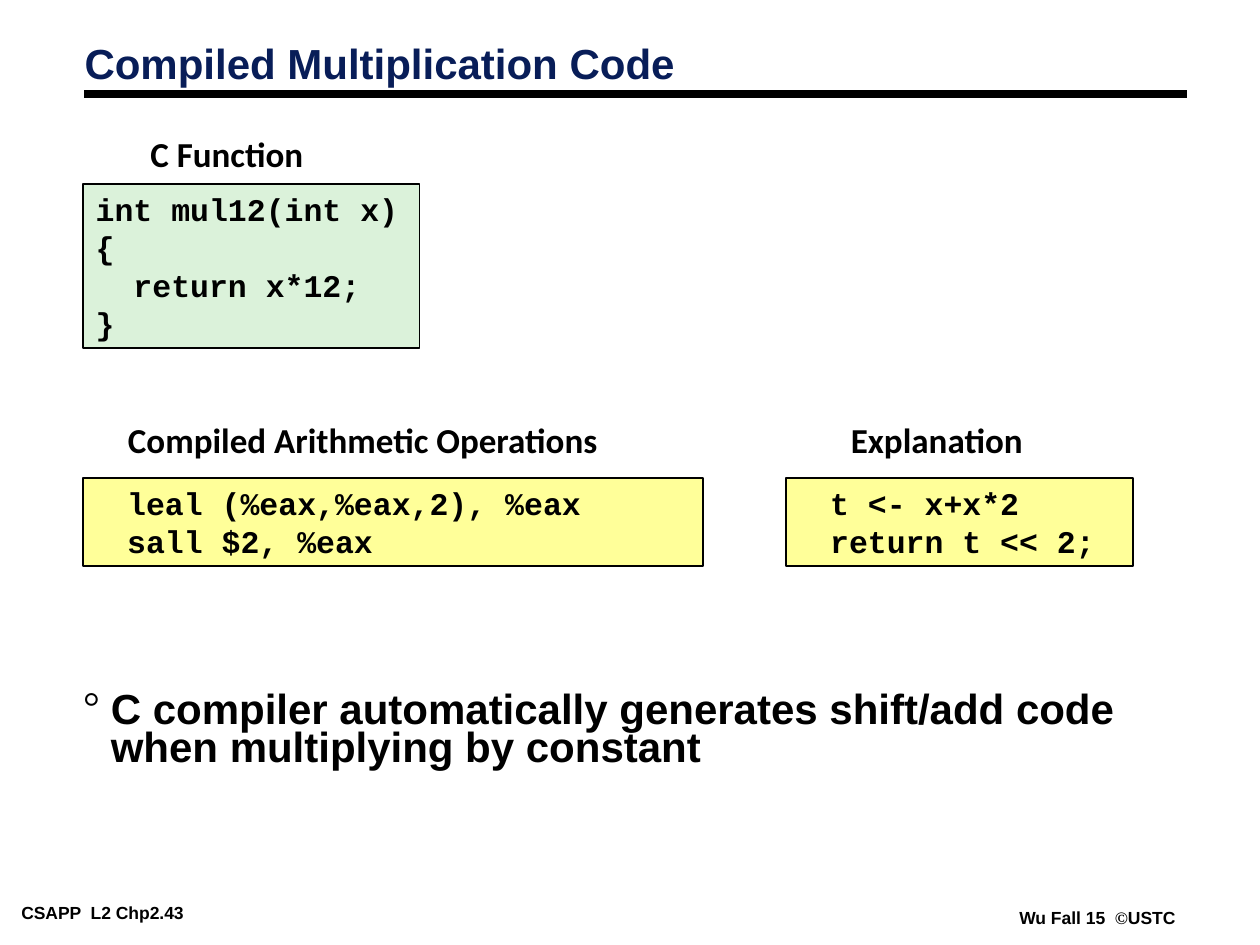
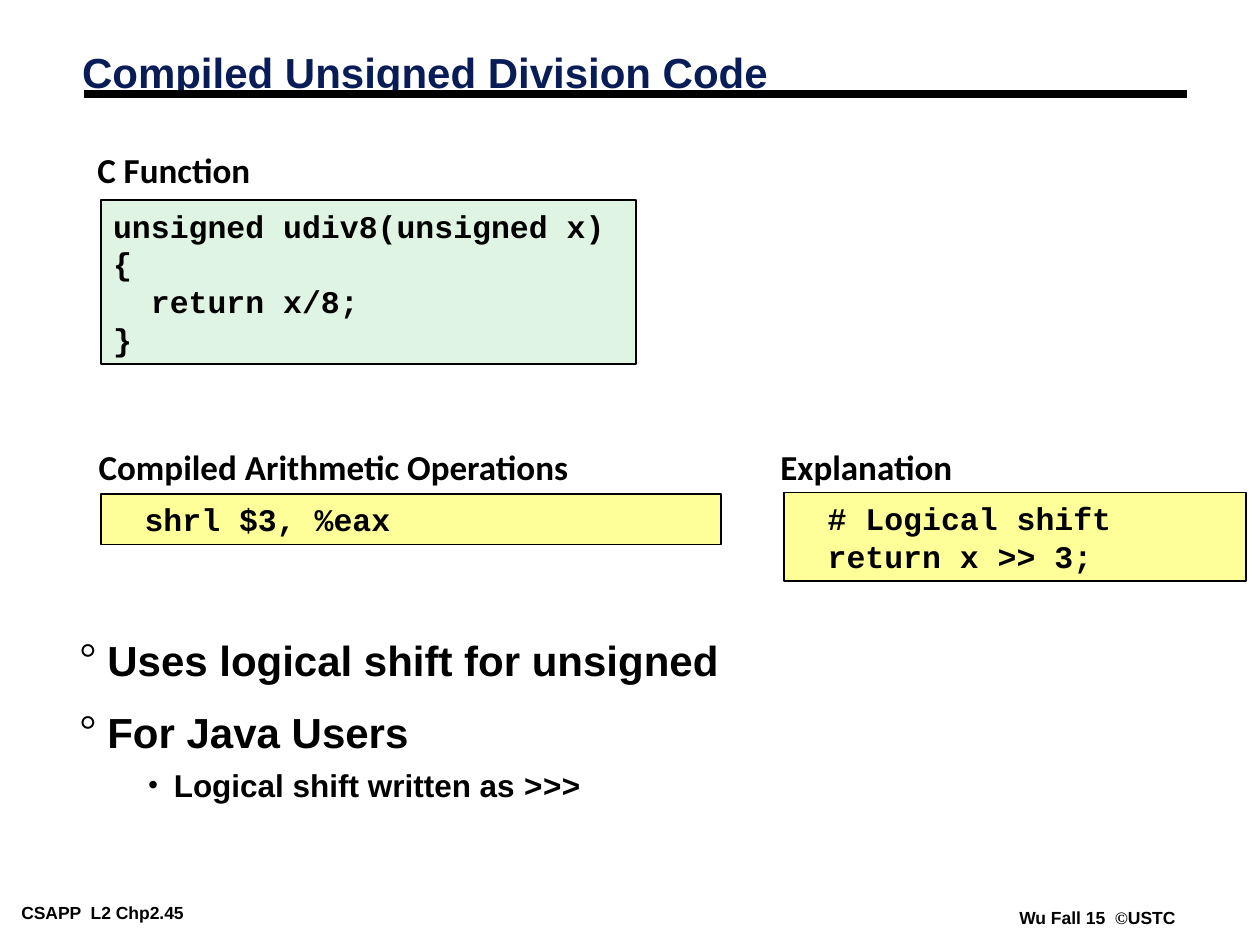
from lxml.etree import SubElement
from pptx import Presentation
from pptx.dml.color import RGBColor
from pptx.enum.shapes import MSO_CONNECTOR, MSO_SHAPE
from pptx.enum.text import MSO_ANCHOR, MSO_AUTO_SIZE, PP_ALIGN
from pptx.oxml.ns import qn
from pptx.util import Cm, Pt

# Shared style
NAVY = RGBColor(0x08, 0x1D, 0x58)
BLACK = RGBColor(0x00, 0x00, 0x00)
YELLOW = RGBColor(0xFF, 0xFF, 0x99)
MINT = RGBColor(0xDB, 0xF2, 0xDA)
PALE_MINT = RGBColor(0xE0, 0xF4, 0xE3)
SANS, LABEL, CODE, SERIF = "Arial", "Calibri", "Courier New", "Times New Roman"
INCH = 2.54
CODE_TABS = (0.25 * INCH, INCH, 2 * INCH, 3 * INCH)

# Per list level: bullet, left margin, hanging indent, size, line spacing, space before
LIST_LEVELS = (
    ("°", 0.56, 0.56, 24, 0.75, 19.5),
    ("•", 1.9, 0.53, 18, 0.85, 9),
)


class Deck:
    """Holds the presentation style and the slide being filled."""

    def __init__(self):
        self.presentation = Presentation()
        self.presentation.slide_width = Cm(25.4)
        self.presentation.slide_height = Cm(19.05)
        self.slide = None

    @staticmethod
    def place(shape, left, top, width, height):
        shape.left, shape.top = Cm(left), Cm(top)
        shape.width, shape.height = Cm(width), Cm(height)

    @staticmethod
    def style(paragraph, font, size, color=BLACK):
        for run in paragraph.runs:
            run.font.name = font
            run.font.size = Pt(size)
            run.font.bold = True
            run.font.color.rgb = color

    @staticmethod
    def set_bullet(paragraph, symbol, margin, hanging):
        properties = paragraph._p.get_or_add_pPr()
        properties.set("marL", str(Cm(margin)))
        properties.set("indent", str(-Cm(hanging)))
        color = SubElement(properties, qn("a:buClr"))
        SubElement(color, qn("a:srgbClr"), val=str(BLACK))
        SubElement(properties, qn("a:buFont"), typeface=SERIF)
        SubElement(properties, qn("a:buChar"), char=symbol)

    @staticmethod
    def set_tabs(paragraph, stops):
        tabs = SubElement(paragraph._p.get_or_add_pPr(), qn("a:tabLst"))
        for stop in stops:
            SubElement(tabs, qn("a:tab"), pos=str(Cm(stop)), algn="l")

    def new_slide(self, title, title_box, page):
        layout = self.presentation.slide_layouts[1]
        self.slide = self.presentation.slides.add_slide(layout)
        self.title(title, *title_box)
        self.rule()
        self.footer(page)

    def title(self, text, left, top, width):
        heading = self.slide.shapes.title
        self.place(heading, left, top, width, 1.6)
        frame = heading.text_frame
        frame.text = text
        frame.auto_size = MSO_AUTO_SIZE.NONE
        frame.vertical_anchor = MSO_ANCHOR.MIDDLE
        paragraph = frame.paragraphs[0]
        paragraph.alignment = PP_ALIGN.LEFT
        paragraph.line_spacing = 0.87
        self.style(paragraph, SANS, 24, NAVY)

    def rule(self):
        line = self.slide.shapes.add_connector(
            MSO_CONNECTOR.STRAIGHT, Cm(1.7), Cm(1.9), Cm(23.93), Cm(1.9))
        line.line.color.rgb = BLACK
        line.line.width = Pt(4.5)
        SubElement(line._element.spPr, qn("a:effectLst"))

    def text_box(self, box, inset_x, inset_y, wrap):
        frame = self.slide.shapes.add_textbox(*map(Cm, box)).text_frame
        frame.margin_left = frame.margin_right = Cm(inset_x)
        frame.margin_top = frame.margin_bottom = Cm(inset_y)
        frame.word_wrap = wrap
        return frame.paragraphs[0]

    def footer(self, page):
        course = self.text_box((0.25, 18.11, 4.95, 0.56), 0.18, 0.08, True)
        course.text = f"CSAPP  L2 Chp2.{page}"
        self.style(course, SANS, 10)
        author = self.text_box((20.37, 18.21, 3.8, 0.56), 0.18, 0.08, True)
        for text in ("Wu Fall 15  ", "©", "USTC"):
            author.add_run().text = text
        self.style(author, SANS, 10)
        author.runs[1].font.name = SERIF

    def label(self, text, left, top, width):
        caption = self.text_box((left, top, width, 1.12), 0.13, 0.13, False)
        caption.text = text
        caption.alignment = PP_ALIGN.CENTER
        self.style(caption, LABEL, 20)

    def code(self, lines, fill, left, top, width, height):
        panel = self.slide.shapes.add_shape(
            MSO_SHAPE.RECTANGLE, Cm(left), Cm(top), Cm(width), Cm(height))
        panel.shadow.inherit = False
        panel.fill.solid()
        panel.fill.fore_color.rgb = fill
        panel.line.color.rgb = BLACK
        panel.line.width = Pt(1)
        frame = panel.text_frame
        frame.text = "\n".join(lines)
        frame.word_wrap = True
        frame.vertical_anchor = MSO_ANCHOR.TOP
        for paragraph in frame.paragraphs:
            self.set_tabs(paragraph, CODE_TABS)
            paragraph.alignment = PP_ALIGN.LEFT
            paragraph.line_spacing = Pt(21.6)
            self.style(paragraph, CODE, 18)

    def bullets(self, items, left, top):
        """Fill the body; each item is a level and its runs, the last in code font if two."""
        body = self.slide.placeholders[1]
        self.place(body, left, top, 23.09, 3.3)
        frame = body.text_frame
        frame.auto_size = MSO_AUTO_SIZE.NONE
        for index, (level, *texts) in enumerate(items):
            paragraph = frame.add_paragraph() if index else frame.paragraphs[0]
            symbol, margin, hanging, size, spacing, before = LIST_LEVELS[level]
            paragraph.level = level
            self.set_bullet(paragraph, symbol, margin, hanging)
            paragraph.line_spacing = spacing
            paragraph.space_before = Pt(before if index else 0)
            for text in texts:
                paragraph.add_run().text = text
            self.style(paragraph, SANS, size)
            if len(texts) > 1:
                paragraph.runs[-1].font.name = CODE


def multiplication(deck):
    deck.new_slide("Compiled Multiplication Code", (1.45, 0.53, 19.91), 43)

    # Source function
    deck.label("C Function", 2.9, 2.54, 3.35)
    deck.code(("int mul12(int x)", "{", "  return x*12;", "}"),
              MINT, 1.68, 3.71, 6.78, 3.3)

    # Assembly and its meaning
    deck.label("Compiled Arithmetic Operations", 2.44, 8.31, 9.75)
    deck.code(("\tleal\t(%eax,%eax,2), %eax", "\tsall\t$2, %eax"),
              YELLOW, 1.68, 9.63, 12.5, 1.78)
    deck.label("Explanation", 17.02, 8.31, 3.73)
    deck.code(("\tt <- x+x*2", "\treturn t << 2;"),
              YELLOW, 15.85, 9.63, 6.99, 1.78)

    # Conclusion
    deck.bullets([(0, "C compiler automatically generates shift/add code "
                      "when multiplying by constant")], 1.42, 13.87)


def unsigned_division(deck):
    deck.new_slide("Compiled Unsigned Division Code", (1.4, 0.71, 22.02), 45)

    # Source function
    deck.label("C Function", 1.83, 2.87, 3.35)
    deck.code(("unsigned udiv8(unsigned x)", "{", "  return x/8;", "}"),
              PALE_MINT, 2.03, 4.04, 10.8, 3.3)

    # Assembly and its meaning
    deck.label("Compiled Arithmetic Operations", 1.85, 8.86, 9.75)
    deck.code(("\tshrl\t$3, %eax",), YELLOW, 2.03, 9.96, 12.5, 1.02)
    deck.label("Explanation", 15.6, 8.86, 3.73)
    deck.code(("\t# Logical shift", "\treturn x >> 3;"),
              YELLOW, 15.8, 9.93, 9.32, 1.78)

    # Conclusions
    deck.bullets([(0, "Uses logical shift for unsigned"),
                  (0, "For Java Users"),
                  (1, "Logical shift written as ", ">>>")], 1.35, 12.9)


def main():
    deck = Deck()
    multiplication(deck)
    unsigned_division(deck)
    deck.presentation.save("out.pptx")


if __name__ == "__main__":
    main()
